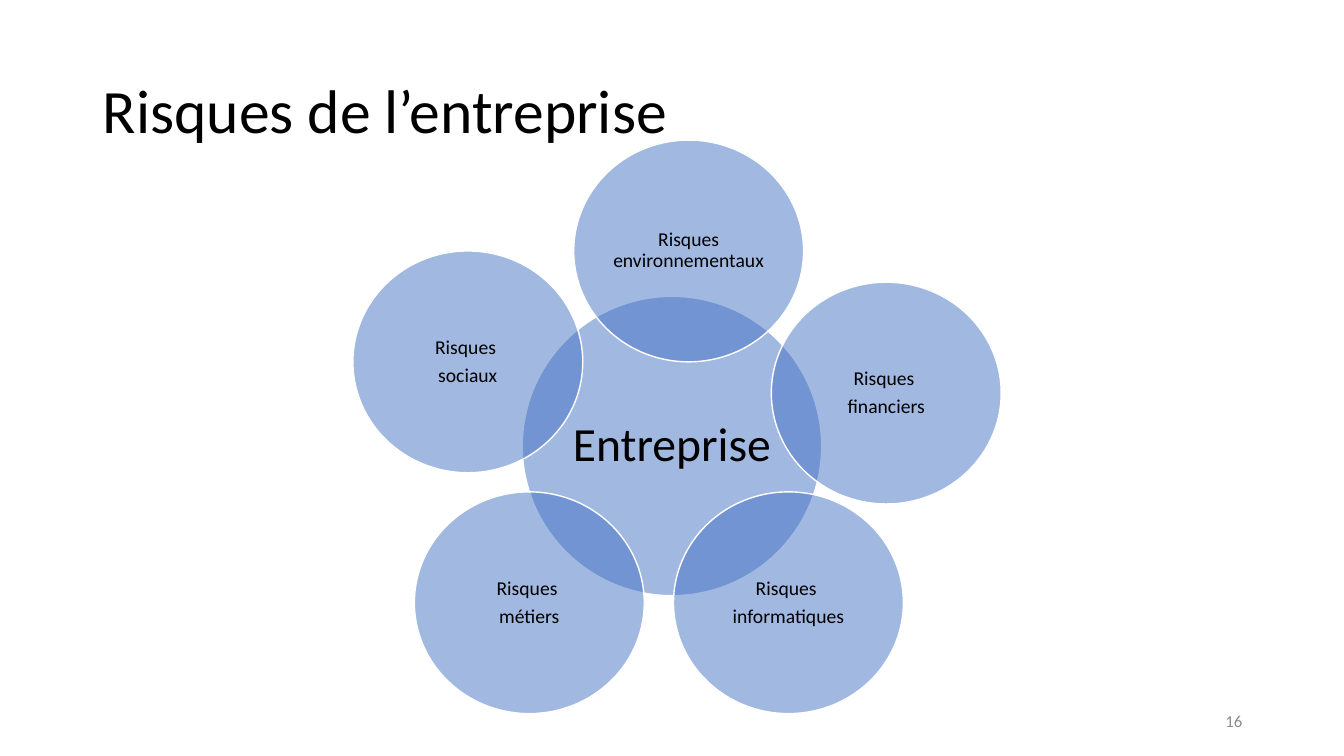
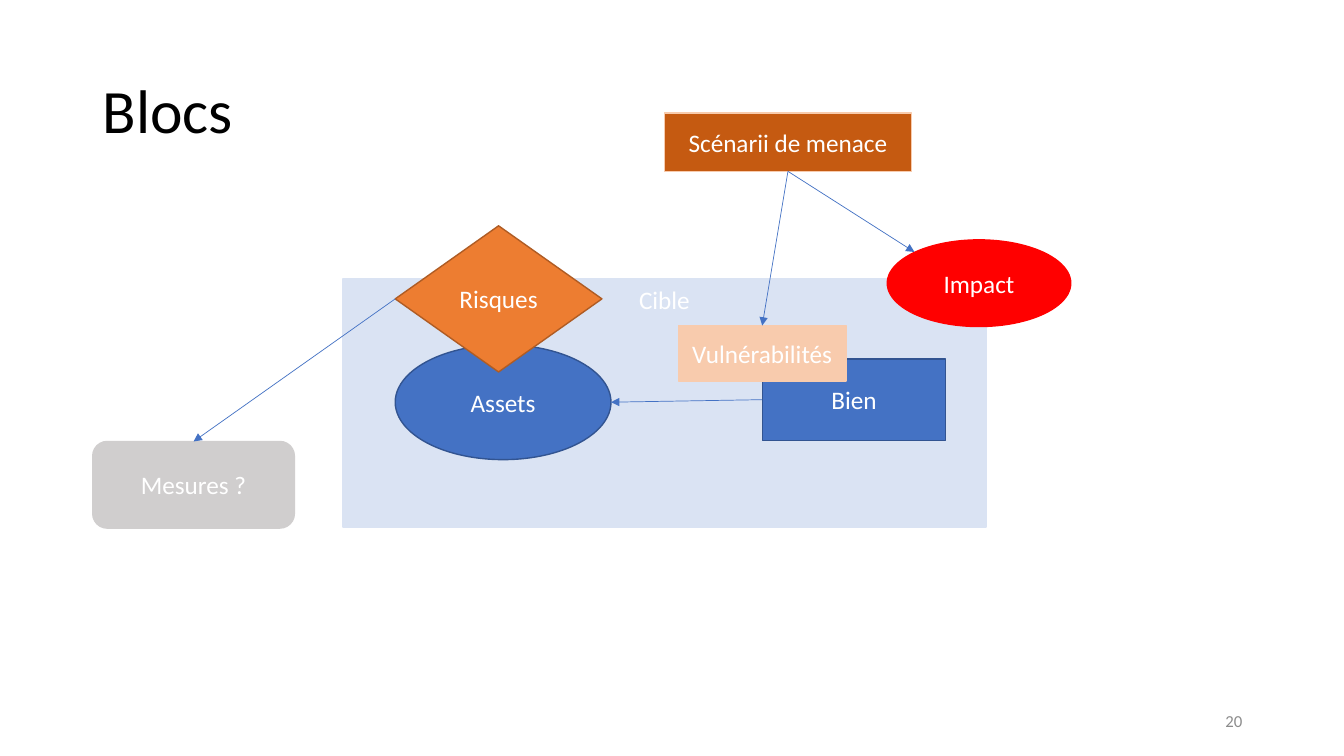
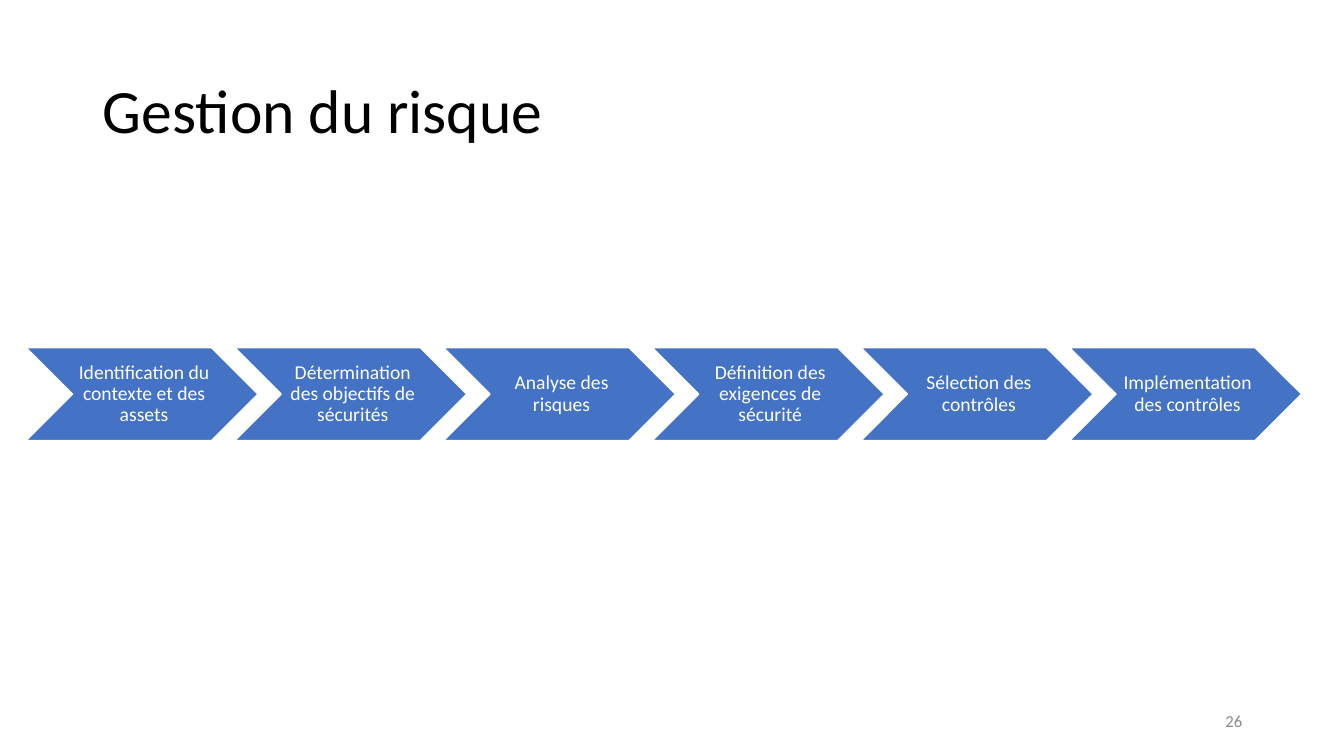
"""Three slides on business risk: overlapping circles, linked blocks and a chain of steps."""
from dataclasses import dataclass

from lxml import etree
from pptx import Presentation
from pptx import util as u
from pptx.dml.color import RGBColor
from pptx.enum import shapes, text
from pptx.oxml.ns import qn

PX = 9144
FONT = "Calibri"
BLACK, WHITE, GREY = "000000", "FFFFFF", "8C8C8C"
BLUE, DARK_BLUE, PALE_BLUE = "4472C4", "325491", "DAE3F3"
ORANGE, DARK_ORANGE, RUST, PEACH = "ED7D31", "AF5C24", "C55A11", "F8CBAD"
RED, SILVER = "FF0000", "D0CECE"
KIND = shapes.MSO_SHAPE
TOP, MIDDLE = text.MSO_ANCHOR.TOP, text.MSO_ANCHOR.MIDDLE
LEFT, CENTER, RIGHT = text.PP_ALIGN.LEFT, text.PP_ALIGN.CENTER, text.PP_ALIGN.RIGHT
TOP_SIDE, LEFT_SIDE, BOTTOM_SIDE = 0, 1, 2

Box = tuple[int, int, int, int]


@dataclass(frozen=True)
class Style:
    """Look of the text in a box, with insets in px and space after in points."""
    size: int
    color: str
    align: text.PP_ALIGN = CENTER
    anchor: text.MSO_ANCHOR = MIDDLE
    insets: Box = (10, 5, 10, 5)
    spacing: float = 1.0
    after: float = 0


@dataclass(frozen=True)
class Block:
    """Filled shape with its text lines."""
    lines: tuple[str, ...]
    kind: KIND
    box: Box
    fill: str
    line: str
    style: Style
    alpha: int = 100


@dataclass(frozen=True)
class Link:
    """Arrow from the side of a block to the top of another block or to a point."""
    start: str
    side: int
    end: str | tuple[int, int]


TITLE = Style(44, BLACK, LEFT, spacing=0.9)
NUMBER = Style(12, GREY, RIGHT)
CORE = Style(34, BLACK, insets=(5, 5, 5, 5), spacing=0.9, after=11.9)
RISK = Style(14, BLACK, insets=(2, 2, 2, 2), spacing=0.9, after=4.9)
STEP = Style(14, WHITE, insets=(6, 2, 2, 2), spacing=0.9, after=4.9)
LABEL = Style(18, WHITE)
TOP_LABEL = Style(18, WHITE, anchor=TOP)

RISKS = (
    (("Risques environnementaux",), 569, 139),
    (("Risques ", "financiers"), 765, 280),
    (("Risques ", "informatiques"), 668, 488),
    (("Risques ", "métiers"), 411, 488),
    (("Risques ", "sociaux"), 350, 249),
)
BLOCKS = (
    Block(("Cible",), KIND.RECTANGLE, (340, 277, 638, 246), PALE_BLUE, PALE_BLUE, TOP_LABEL),
    Block(("Assets",), KIND.OVAL, (392, 342, 214, 114), BLUE, DARK_BLUE, LABEL),
    Block(("Bien",), KIND.RECTANGLE, (756, 356, 182, 81), BLUE, DARK_BLUE, LABEL),
    Block(("Risques",), KIND.FLOWCHART_DECISION, (392, 224, 205, 145), ORANGE, DARK_ORANGE, LABEL),
    Block(("Vulnérabilités",), KIND.RECTANGLE, (673, 323, 166, 55), PEACH, PEACH, LABEL),
    Block(("Scénarii de menace",), KIND.RECTANGLE, (659, 112, 245, 58), RUST, PEACH, LABEL),
    Block(("Impact",), KIND.OVAL, (880, 238, 182, 86), RED, RED, LABEL),
    Block(("Mesures ?",), KIND.ROUNDED_RECTANGLE, (92, 438, 200, 86), SILVER, SILVER, LABEL),
)
LINKS = (
    Link("Bien", LEFT_SIDE, (606, 399)),
    Link("Scénarii de menace", BOTTOM_SIDE, "Vulnérabilités"),
    Link("Scénarii de menace", BOTTOM_SIDE, (907, 250)),
    Link("Risques", LEFT_SIDE, "Mesures ?"),
)
STEPS = (
    "Identification du contexte et des assets",
    "Détermination des objectifs de sécurités",
    "Analyse des risques",
    "Définition des exigences de sécurité",
    "Sélection des contrôles",
    "Implémentation des contrôles",
)


def px(*values: int) -> list[u.Emu]:
    """Turn px into EMU."""
    return [u.Emu(value * PX) for value in values]


def rgb(color: str) -> RGBColor:
    """Turn a hex string into a colour."""
    return RGBColor.from_string(color)


def write(sp, lines: tuple[str, ...], style: Style) -> None:
    """Fill a shape with styled paragraphs."""
    tf = sp.text_frame
    tf.word_wrap = True
    tf.auto_size = text.MSO_AUTO_SIZE.NONE
    tf.vertical_anchor = style.anchor
    tf.margin_left, tf.margin_top, tf.margin_right, tf.margin_bottom = px(*style.insets)
    tf.text = "\n".join(lines)
    for p in tf.paragraphs:
        p.alignment = style.align
        p.line_spacing = style.spacing
        p.space_before, p.space_after = u.Pt(0), u.Pt(style.after)
        p.font.name, p.font.size = FONT, u.Pt(style.size)
        p.font.color.rgb = rgb(style.color)


def new_slide(prs, title: str, number: int):
    """Add a slide with its title and page number."""
    s = prs.slides.add_slide(prs.slide_layouts[5])
    sp = s.shapes.title
    sp.left, sp.top, sp.width, sp.height = px(92, 40, 1150, 145)
    write(sp, (title,), TITLE)
    write(s.shapes.add_textbox(*px(942, 695, 300, 40)), (str(number),), NUMBER)
    return s


def draw_block(s, block: Block):
    """Draw a block and return its shape."""
    sp = s.shapes.add_shape(block.kind, *px(*block.box))
    sp.shadow.inherit = False
    sp.fill.solid()
    sp.fill.fore_color.rgb = rgb(block.fill)
    if block.alpha < 100:
        color = sp.fill._xPr.find(qn("a:solidFill"))[0]
        etree.SubElement(color, qn("a:alpha"), val=str(block.alpha * 1000))
    sp.line.color.rgb = rgb(block.line)
    sp.line.width = u.Pt(1)
    write(sp, block.lines, block.style)
    return sp


def draw_link(s, link: Link, drawn: dict) -> None:
    """Draw an arrow between two blocks."""
    joined = isinstance(link.end, str)
    end = (0, 0) if joined else link.end
    cn = s.shapes.add_connector(shapes.MSO_CONNECTOR.STRAIGHT, *px(0, 0, *end))
    cn.begin_connect(drawn[link.start], link.side)
    if joined:
        cn.end_connect(drawn[link.end], TOP_SIDE)
    cn.line.color.rgb = rgb(BLUE)
    cn.line.width = u.Pt(0.5)
    etree.SubElement(cn.line._get_or_add_ln(), qn("a:tailEnd"), type="triangle")
    etree.SubElement(cn._element.spPr, qn("a:effectLst"))


def risks_slide(prs) -> None:
    """Draw the company circle and the risks around it."""
    s = new_slide(prs, "Risques de l’entreprise", 16)
    draw_block(s, Block(("Entreprise",), KIND.OVAL, (518, 294, 297, 297), BLUE, WHITE, CORE, 50))
    for lines, x, y in RISKS:
        draw_block(s, Block(lines, KIND.OVAL, (x, y, 228, 220), BLUE, WHITE, RISK, 50))


def blocks_slide(prs) -> None:
    """Draw the blocks and the arrows between them."""
    s = new_slide(prs, "Blocs", 20)
    drawn = {block.lines[0]: draw_block(s, block) for block in BLOCKS}
    for link in LINKS:
        draw_link(s, link, drawn)


def steps_slide(prs) -> None:
    """Draw the chain of risk management steps."""
    s = new_slide(prs, "Gestion du risque", 26)
    for i, step in enumerate(STEPS):
        box = (26 + i * 207, 345, 230, 92)
        draw_block(s, Block((step,), KIND.CHEVRON, box, BLUE, WHITE, STEP))


def main() -> None:
    """Build and save the presentation."""
    prs = Presentation()
    prs.slide_width, prs.slide_height = px(1333, 750)
    risks_slide(prs)
    blocks_slide(prs)
    steps_slide(prs)
    prs.save("out.pptx")


if __name__ == "__main__":
    main()
